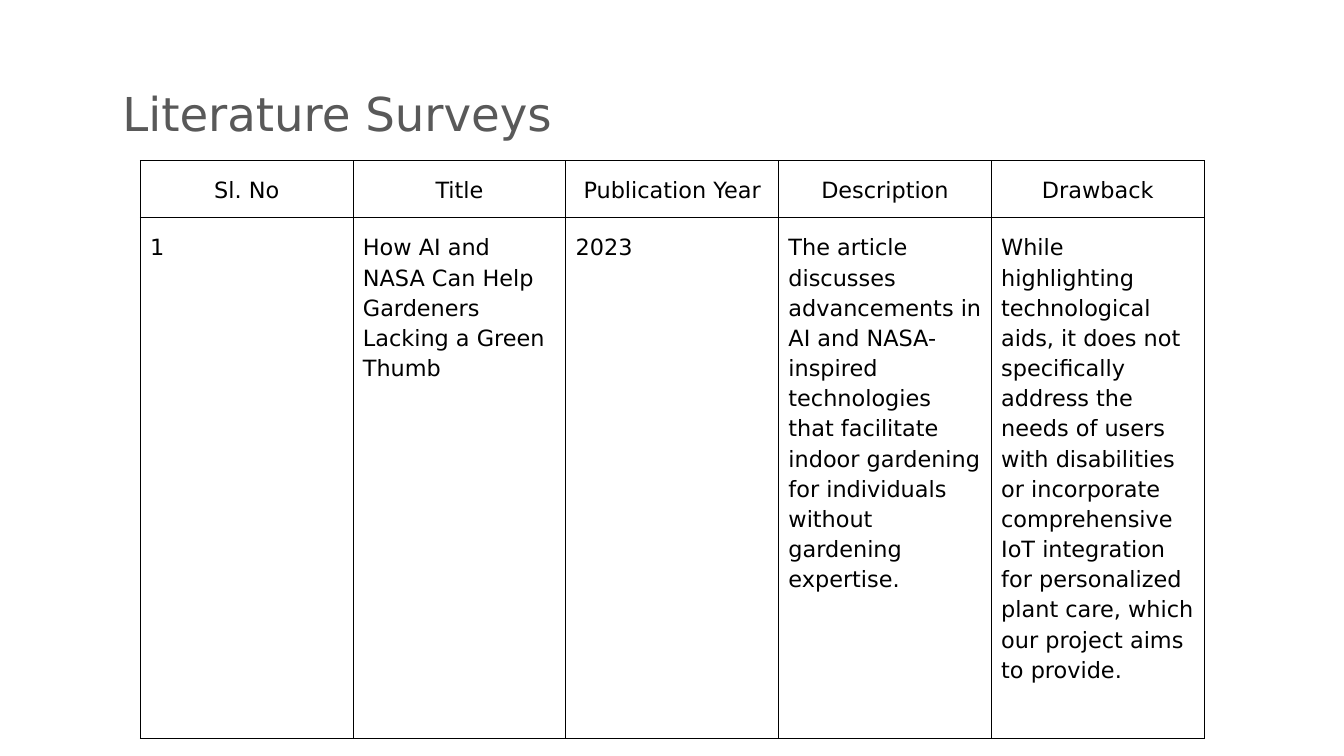
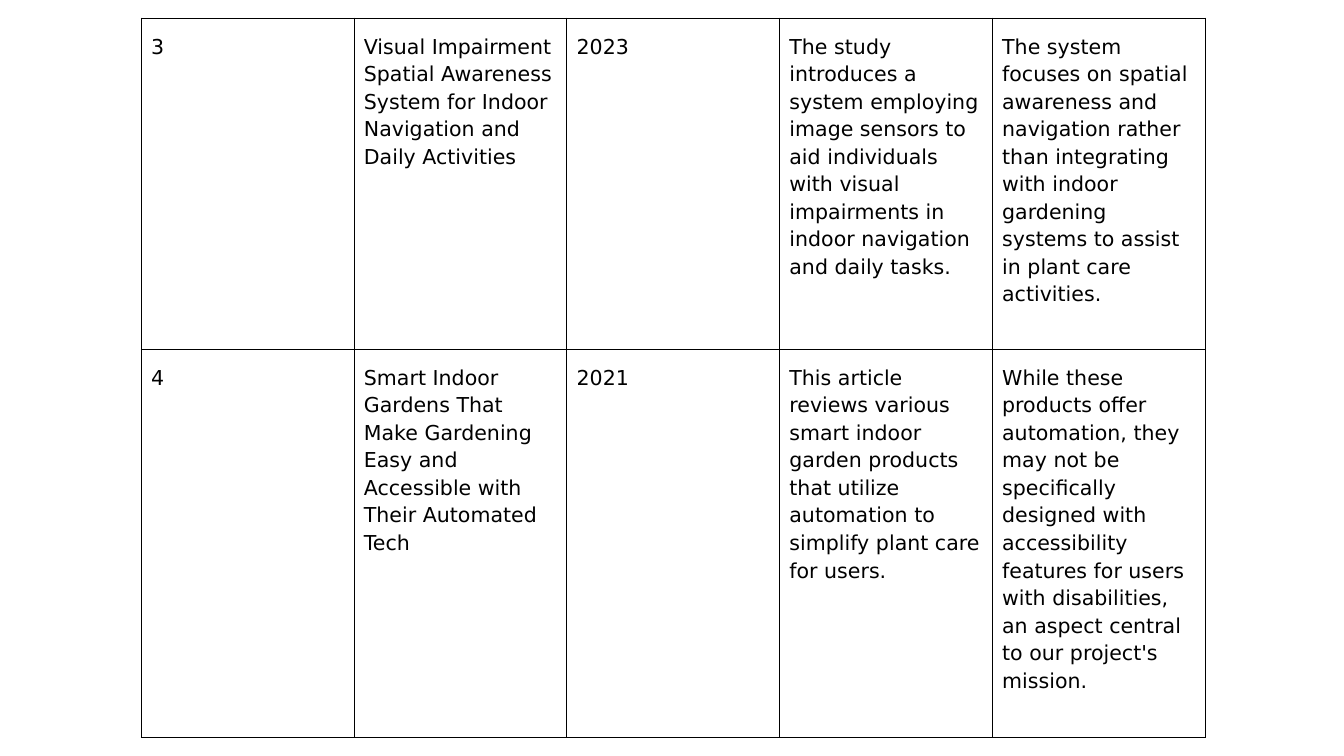
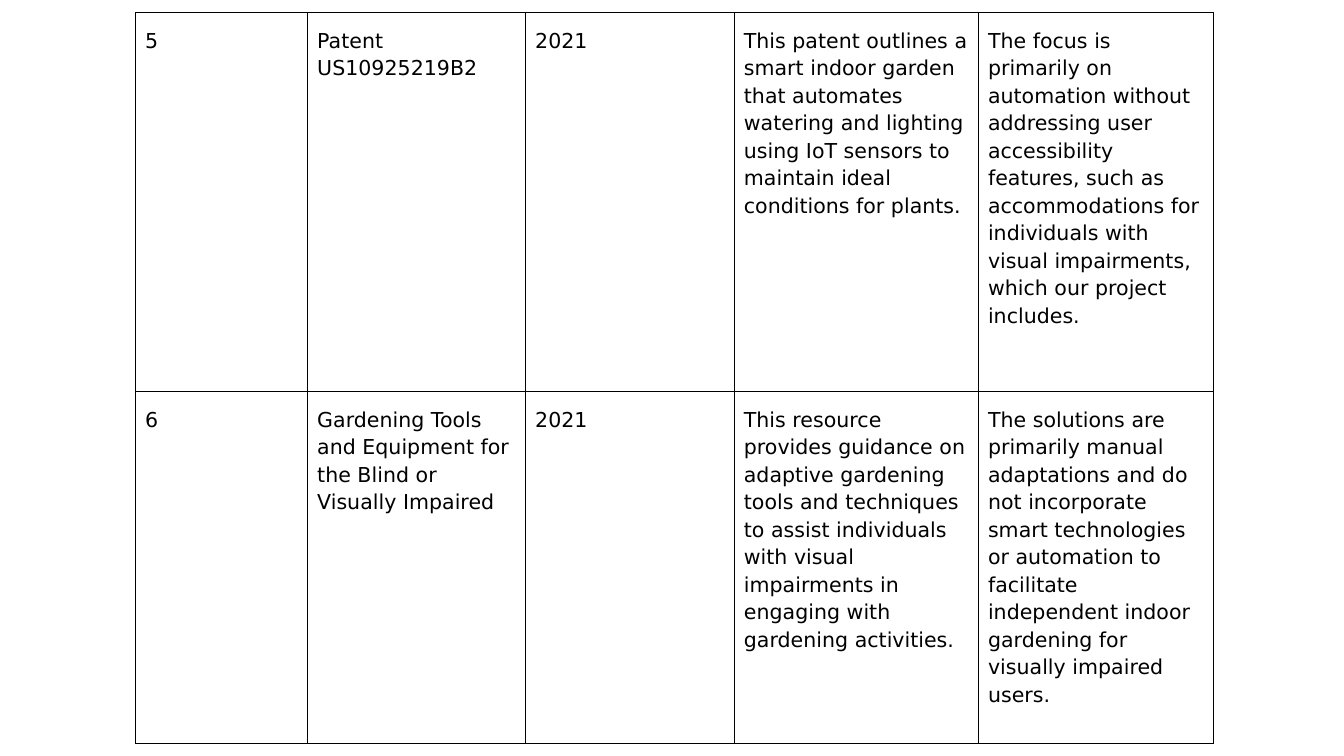
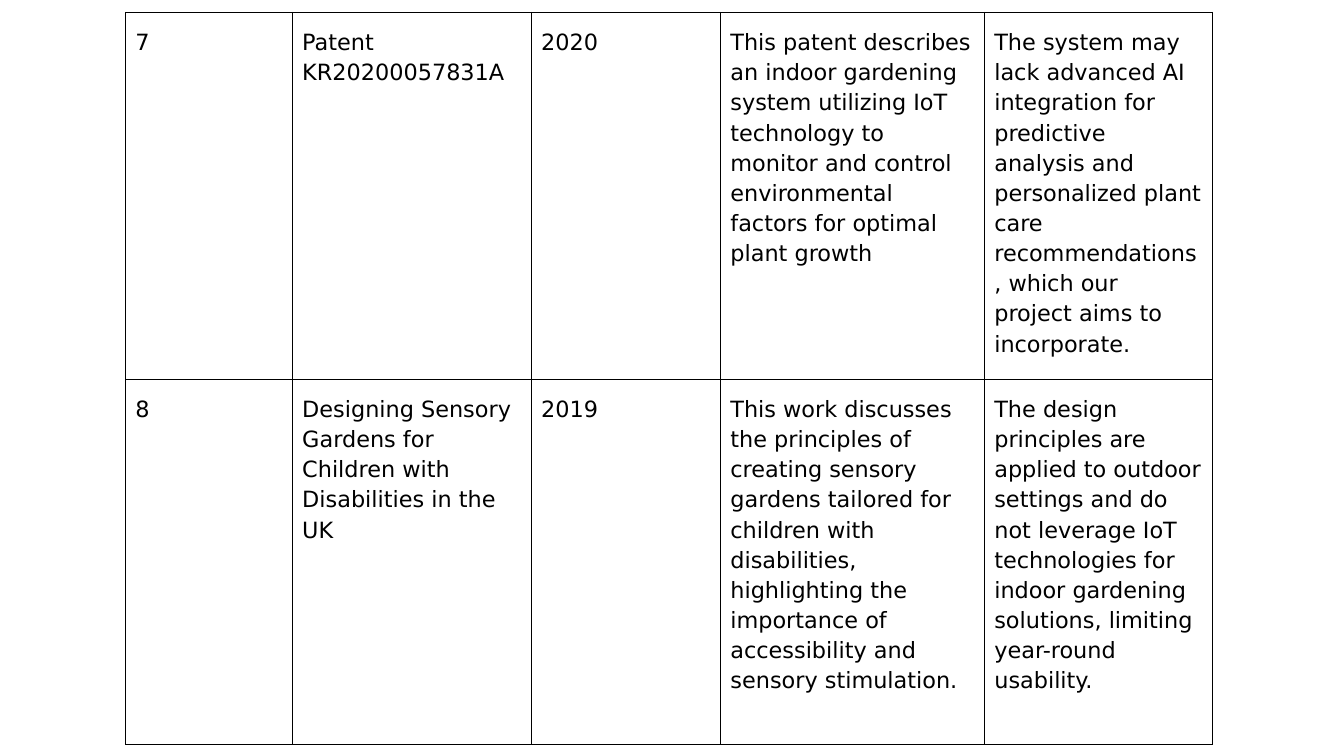
from lxml import etree
from pptx import Presentation
from pptx.dml.color import RGBColor
from pptx.enum import text
from pptx.oxml import ns
from pptx.util import Pt

FONT = "DejaVu Sans"
BLACK = RGBColor(0x00, 0x00, 0x00)
GREY = RGBColor(0x59, 0x59, 0x59)
WHITE = RGBColor(0xFF, 0xFF, 0xFF)
BORDER = 0.6
INSET_X, INSET_Y = 5.25, 7.2

TITLE = "Literature Surveys"
HEADER = ("Sl. No", "Title", "Publication Year", "Description", "Drawback")

SURVEYS = [
    dict(
        title=TITLE, header=HEADER, size=12, at=(75.2, 86.1),
        cols=[114] * 5, heights=[29.5, 279],
        rows=[
            ("1", "How AI and NASA Can Help Gardeners Lacking a Green Thumb", "2023",
             "The article discusses advancements in AI and NASA-inspired technologies that "
             "facilitate indoor gardening for individuals without gardening expertise.",
             "While highlighting technological aids, it does not specifically address the needs "
             "of users with disabilities or incorporate comprehensive IoT integration for "
             "personalized plant care, which our project aims to provide."),
        ]),
    dict(
        size=11, at=(75.7, 9.7), cols=[114] * 5, heights=[177.5, 208],
        rows=[
            ("3", "Visual Impairment Spatial Awareness System for Indoor Navigation and Daily "
             "Activities", "2023",
             "The study introduces a system employing image sensors to aid individuals with "
             "visual impairments in indoor navigation and daily tasks.",
             "The system focuses on spatial awareness and navigation rather than integrating "
             "with indoor gardening systems to assist in plant care activities."),
            ("4", "Smart Indoor Gardens That Make Gardening Easy and Accessible with Their "
             "Automated Tech", "2021",
             "This article reviews various smart indoor garden products that utilize "
             "automation to simplify plant care for users.",
             "While these products offer automation, they may not be specifically designed "
             "with accessibility features for users with disabilities, an aspect central to "
             "our project's mission."),
        ]),
    dict(
        size=11, at=(72.5, 6.6), cols=[92.2, 116.8, 111.8, 130.8, 126], heights=[203, 188.6],
        rows=[
            ("5", "Patent US10925219B2", "2021",
             "This patent outlines a smart indoor garden that automates watering and lighting "
             "using IoT sensors to maintain ideal conditions for plants.",
             "The focus is primarily on automation without addressing user accessibility "
             "features, such as accommodations for individuals with visual impairments, which "
             "our project includes."),
            ("6", "Gardening Tools and Equipment for the Blind or Visually Impaired", "2021",
             "This resource provides guidance on adaptive gardening tools and techniques to "
             "assist individuals with visual impairments in engaging with gardening activities.",
             "The solutions are primarily manual adaptations and do not incorporate smart "
             "technologies or automation to facilitate independent indoor gardening for "
             "visually impaired users."),
        ]),
    dict(
        size=12, at=(67.3, 6.6), cols=[89.4, 128, 101.4, 141.4, 122.2], heights=[191, 195.5],
        rows=[
            ("7", "Patent KR20200057831A", "2020",
             "This patent describes an indoor gardening system utilizing IoT technology to "
             "monitor and control environmental factors for optimal plant growth",
             "The system may lack advanced AI integration for predictive analysis and "
             "personalized plant care recommendations, which our project aims to incorporate."),
            ("8", "Designing Sensory Gardens for Children with Disabilities in the UK", "2019",
             "This work discusses the principles of creating sensory gardens tailored for "
             "children with disabilities, highlighting the importance of accessibility and "
             "sensory stimulation.",
             "The design principles are applied to outdoor settings and do not leverage IoT "
             "technologies for indoor gardening solutions, limiting year-round usability."),
        ]),
]


def add_run(p, words, size, color):
    r = p.add_run()
    r.text = words
    r.font.name, r.font.size, r.font.bold = FONT, Pt(size), False
    r.font.color.rgb = color


def add_borders(cell):
    tc_pr = cell._tc.get_or_add_tcPr()
    for i, side in enumerate(("a:lnL", "a:lnR", "a:lnT", "a:lnB")):
        ln = etree.Element(ns.qn(side), w=str(int(Pt(BORDER))))
        fill = etree.SubElement(ln, ns.qn("a:solidFill"))
        etree.SubElement(fill, ns.qn("a:srgbClr"), val=str(BLACK))
        tc_pr.insert(i, ln)


def fill_cell(cell, words, size, is_header):
    cell.fill.background()
    add_borders(cell)
    cell.margin_left = cell.margin_right = Pt(INSET_X)
    cell.margin_top = cell.margin_bottom = Pt(INSET_Y)
    cell.vertical_anchor = text.MSO_ANCHOR.MIDDLE if is_header else text.MSO_ANCHOR.TOP
    p = cell.text_frame.paragraphs[0]
    p.alignment = text.PP_ALIGN.CENTER if is_header else text.PP_ALIGN.LEFT
    p.line_spacing = 1.15
    p.space_after = Pt(12)
    add_run(p, words, size, BLACK)


def add_survey_table(s, survey):
    header = survey.get("header")
    rows = ([header] if header else []) + survey["rows"]
    cols, heights = survey["cols"], survey["heights"]
    left, top = survey["at"]
    table = s.shapes.add_table(len(rows), len(cols), Pt(left), Pt(top),
                               Pt(sum(cols)), Pt(sum(heights))).table
    table.first_row = table.horz_banding = False
    for column, width in zip(table.columns, cols):
        column.width = Pt(width)
    for row, height, words in zip(table.rows, heights, rows):
        row.height = Pt(height)
        for cell, entry in zip(row.cells, words):
            fill_cell(cell, entry, survey["size"], words is header)


def add_title(s, words):
    tf = s.shapes.add_textbox(Pt(58.5), Pt(38.2), Pt(554.4), Pt(44)).text_frame
    tf.word_wrap = True
    tf.margin_left = tf.margin_right = tf.margin_top = tf.margin_bottom = Pt(7.2)
    add_run(tf.paragraphs[0], words, 25, GREY)


def main():
    prs = Presentation()
    prs.slide_width, prs.slide_height = Pt(720), Pt(405)
    for survey in SURVEYS:
        s = prs.slides.add_slide(prs.slide_layouts[6])
        s.background.fill.solid()
        s.background.fill.fore_color.rgb = WHITE
        add_survey_table(s, survey)
        if "title" in survey:
            add_title(s, survey["title"])
    prs.save("out.pptx")


if __name__ == "__main__":
    main()
